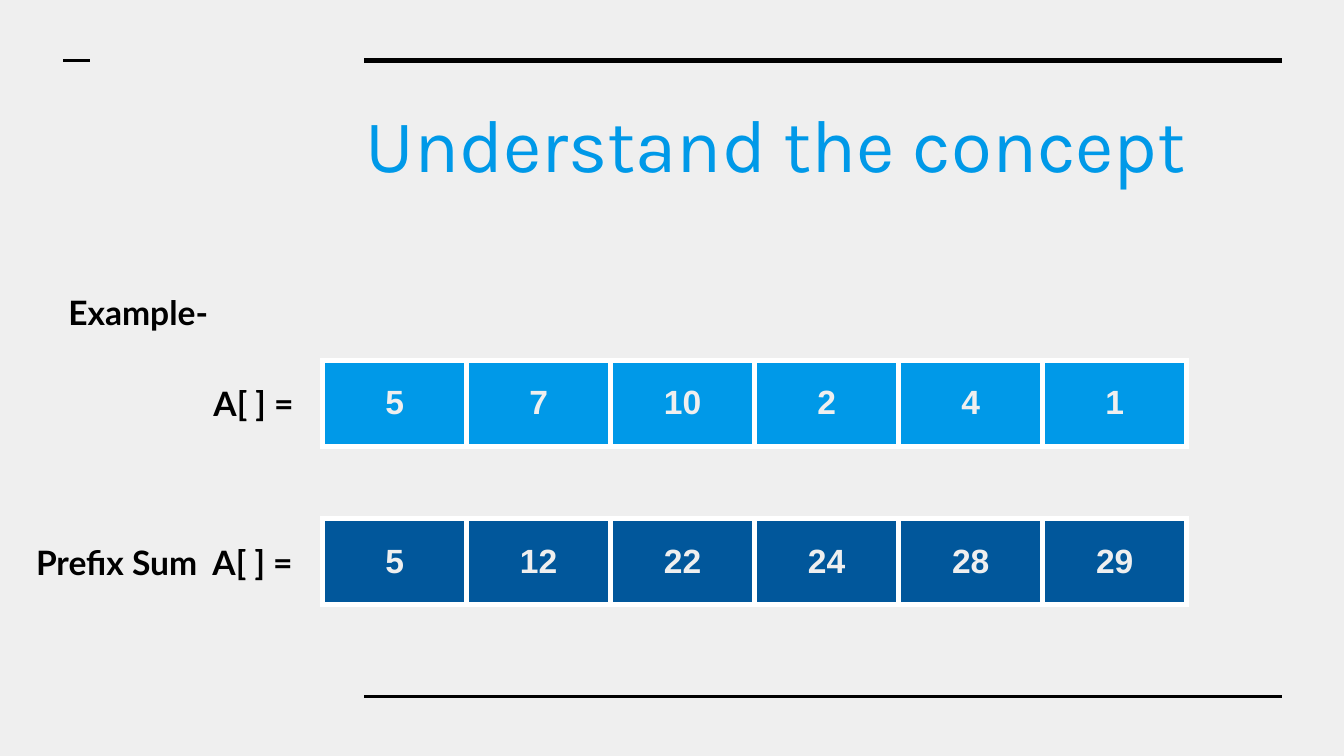
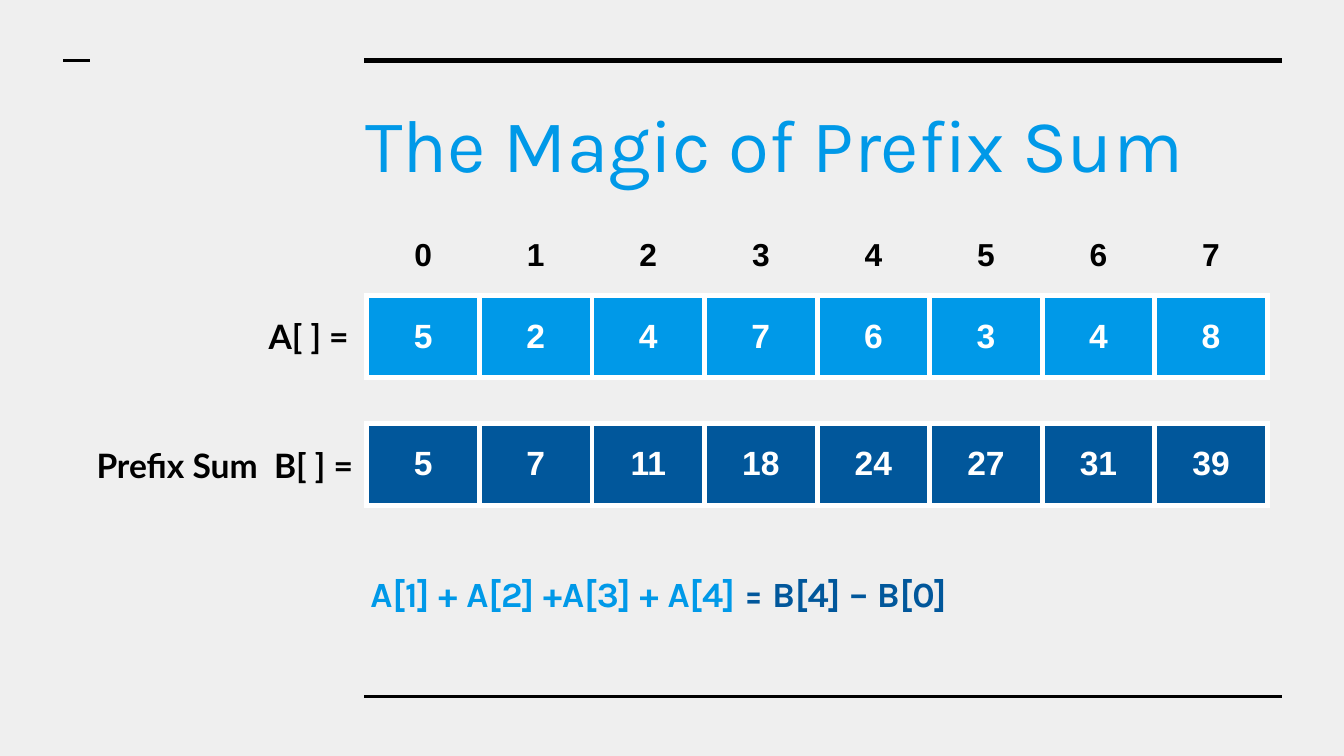
from itertools import accumulate

from lxml import etree
from pptx import Presentation
from pptx.dml.color import RGBColor
from pptx.enum.shapes import MSO_CONNECTOR
from pptx.enum.text import MSO_ANCHOR, MSO_AUTO_SIZE, PP_ALIGN
from pptx.oxml.ns import qn
from pptx.util import Inches, Pt

LEFT, CENTER = PP_ALIGN.LEFT, PP_ALIGN.CENTER
TOP, MIDDLE = MSO_ANCHOR.TOP, MSO_ANCHOR.MIDDLE
NO_FIT = MSO_AUTO_SIZE.NONE
STRAIGHT = MSO_CONNECTOR.STRAIGHT

PAPER = RGBColor(0xEF, 0xEF, 0xEF)
WHITE = RGBColor(0xFF, 0xFF, 0xFF)
BLACK = RGBColor(0x00, 0x00, 0x00)
SKY = RGBColor(0x00, 0x99, 0xE8)
NAVY = RGBColor(0x01, 0x57, 0x9B)

# Grid: one cell is a tenth of an inch on both axes
CELL = Inches(0.1)
COLUMNS, ROWS = 100, 56.25
INSET = CELL


def grid(*counts):
    """Turn counts of grid cells into lengths."""
    return [round(count * CELL) for count in counts]


def write(para, text, font="Lato", size=18, color=BLACK, bold=True, align=LEFT):
    """Add one formatted span of text to a paragraph."""
    para.alignment = align
    span = para.add_run()
    span.text = text
    span.font.name = font
    span.font.size = Pt(size)
    span.font.bold = bold
    span.font.color.rgb = color


def set_insets(holder):
    holder.margin_left = holder.margin_right = INSET
    holder.margin_top = holder.margin_bottom = INSET


def set_borders(cell, color, width=3):
    """Draw all four sides of a table cell, or none if color is None."""
    properties = cell._tc.get_or_add_tcPr()
    for index, side in enumerate(("a:lnL", "a:lnR", "a:lnT", "a:lnB")):
        line = etree.Element(qn(side), w=str(Pt(width)))
        if color is None:
            etree.SubElement(line, qn("a:noFill"))
        else:
            fill = etree.SubElement(line, qn("a:solidFill"))
            etree.SubElement(fill, qn("a:srgbClr"), val=str(color))
        properties.insert(index, line)


class Slides:
    """Holds the deck's style and the page being filled."""

    def __init__(self):
        self.deck = Presentation()
        self.deck.slide_width, self.deck.slide_height = grid(COLUMNS, ROWS)
        background = self.deck.slide_master.background.fill
        background.solid()
        background.fore_color.rgb = PAPER
        self.page = None

    def start(self, title):
        """Add a page with its rules and its title."""
        self.page = self.deck.slides.add_slide(self.deck.slide_layouts[5])
        self.rule(27.1, 95.4, 4.5, 3)
        self.rule(27.1, 95.4, 51.8, 1.5)
        self.rule(4.7, 6.7, 4.5, 1.5)

        box = self.page.shapes.title
        box.left, box.top, box.width, box.height = grid(26.2, 6.3, 69.1, 6.9)
        para = self.prepare(box.text_frame)
        para.space_after = Pt(16)
        write(para, title, font="Karla", size=40, color=SKY, bold=False)

    def prepare(self, frame):
        frame.word_wrap = True
        frame.auto_size = NO_FIT
        frame.vertical_anchor = TOP
        set_insets(frame)
        return frame.paragraphs[0]

    def rule(self, start, end, row, weight):
        """Draw a horizontal line."""
        line = self.page.shapes.add_connector(STRAIGHT, *grid(start, row, end, row))
        line.line.color.rgb = BLACK
        line.line.width = Pt(weight)
        etree.SubElement(line._element.spPr, qn("a:effectLst"))

    def text(self, column, row, width, spans, height=5, **style):
        """Place a text box; spans are pairs of text and color."""
        box = self.page.shapes.add_textbox(*grid(column, row, width, height))
        para = self.prepare(box.text_frame)
        for text, color in spans:
            write(para, text, color=color, **style)

    def label(self, column, row, width, text):
        self.text(column, row, width, [(text, BLACK)])

    def array(self, values, column, row, width, height, fill=None, color=WHITE,
              size=18, anchor=MIDDLE):
        """Place a one-row table; without a fill it has no borders either."""
        values = list(values)
        frame = self.page.shapes.add_table(
            1, len(values), *grid(column, row, width, height))
        table = frame.table
        table.first_row = table.horz_banding = False
        for cell, value in zip(table.iter_cells(), values):
            set_insets(cell)
            cell.vertical_anchor = anchor
            if fill is None:
                cell.fill.background()
            else:
                cell.fill.solid()
                cell.fill.fore_color.rgb = fill
            set_borders(cell, WHITE if fill else None)
            write(cell.text_frame.paragraphs[0], str(value), font="Arial",
                  size=size, color=color, align=CENTER)


def concept(slides):
    slides.start("Understand the concept")
    numbers = [5, 7, 10, 2, 4, 1]
    place = {"column": 24, "width": 64.3, "height": 6.4, "color": PAPER}

    slides.label(4.1, 20.7, 15.7, "Example-")
    slides.array(numbers, row=26.8, fill=SKY, **place)
    slides.label(14.9, 27.5, 8.3, "A[ ] =")
    slides.array(accumulate(numbers), row=38.6, fill=NAVY, **place)
    slides.label(1.7, 39.3, 22.3, "Prefix Sum  A[ ] =")


def magic(slides):
    slides.start("The Magic of Prefix Sum")
    numbers = [5, 2, 4, 7, 6, 3, 4, 8]
    place = {"column": 27.3, "width": 67}

    # Arrays with their indices above
    slides.array(accumulate(numbers), row=31.5, height=6.1, fill=NAVY, **place)
    slides.array(numbers, row=22, height=6.1, fill=SKY, **place)
    slides.label(6.2, 32.1, 22.3, "Prefix Sum  B[ ] =")
    slides.label(19, 22.5, 8.3, "A[ ] =")
    slides.array(range(len(numbers)), row=16.7, height=4.2, color=BLACK,
                 size=17, anchor=TOP, **place)

    # Range sum as a difference of two prefix sums
    formula = [("A[1] + A[2] +A[3] + A[4]", SKY), (" = B[4] – B[0]", NAVY)]
    slides.text(16.4, 41.6, 65.2, formula, height=7.6, font="Karla", size=19,
                align=CENTER)


def main():
    slides = Slides()
    concept(slides)
    magic(slides)
    slides.deck.save("out.pptx")


if __name__ == "__main__":
    main()
